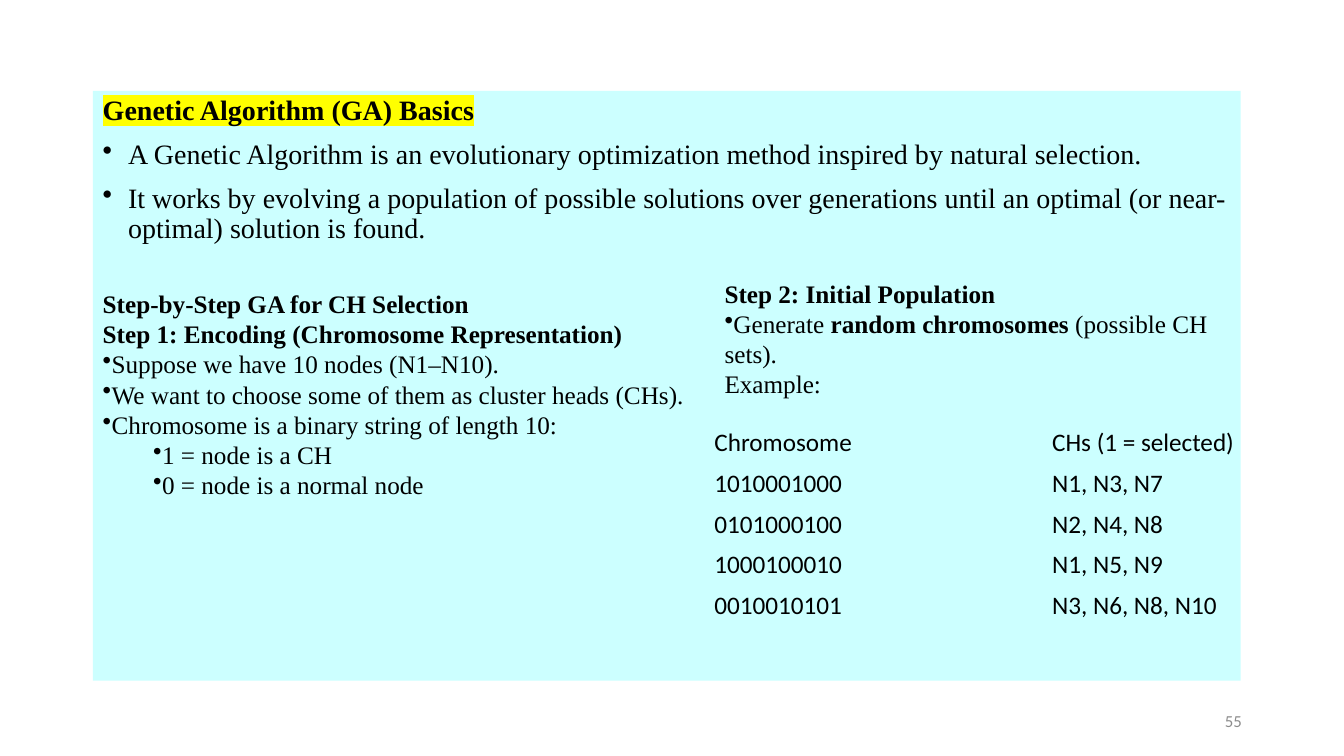
import pptx
import pptx.util
import pptx.dml.color
import pptx.enum.text
import pptx.oxml.ns
from dataclasses import dataclass
from lxml import etree
from pptx.util import Cm, Pt


@dataclass(frozen=True)
class Theme:
    panel: str = "CCFFFF"
    ink: str = "000000"
    muted: str = "8C8C8C"
    marker: str = "FFFF00"
    serif: str = "Times New Roman"
    sans: str = "Calibri"
    lead: int = 20
    text: int = 18
    footer: int = 12


theme = Theme()
qn = pptx.oxml.ns.qn
anchors = pptx.enum.text.MSO_ANCHOR


def add_box(left, top, width, height, anchor=anchors.TOP):
    box = page.shapes.add_textbox(Cm(left), Cm(top), Cm(width), Cm(height))
    box.text_frame.word_wrap = True
    box.text_frame.vertical_anchor = anchor
    return box


def add_span(para, words, size, face=theme.serif, color=theme.ink, bold=False):
    span = para.add_run()
    span.text = words
    span.font.size = Pt(size)
    span.font.name = face
    span.font.bold = bold
    span.font.color.rgb = pptx.dml.color.RGBColor.from_string(color)
    return span


deck = pptx.Presentation()
deck.slide_width, deck.slide_height = Cm(33.87), Cm(19.05)
page = deck.slides.add_slide(deck.slide_layouts[6])

panel = add_box(2.34, 2.29, 28.93, 14.86)
panel.fill.solid()
panel.fill.fore_color.rgb = pptx.dml.color.RGBColor.from_string(theme.panel)

# words, size, bold, bullet, left margin, first-line indent, space before, line spacing
panel_lines = [
    ("Genetic Algorithm (GA) Basics", theme.lead, True, False, 0, 0, 0, 0.9),
    ("A Genetic Algorithm is an evolutionary optimization method inspired by natural selection.",
     theme.lead, False, True, 0.64, -0.64, 10, 0.9),
    ("It works by evolving a population of possible solutions over generations "
     "until an optimal (or near-optimal) solution is found.",
     theme.lead, False, True, 0.64, -0.64, 10, 0.9),
    ("Step-by-Step GA for CH Selection", theme.text, True, False, 0, 0, 31, 1.0),
    ("Step 1: Encoding (Chromosome Representation)", theme.text, True, False, 0, 0, 0, 1.0),
    ("Suppose we have 10 nodes (N1–N10).", theme.text, False, True, 0, 0, 0, 1.0),
    ("We want to choose some of them as cluster heads (CHs).",
     theme.text, False, True, 0, 0, 0, 1.0),
    ("Chromosome is a binary string of length 10:", theme.text, False, True, 0, 0, 0, 1.0),
    ("1 = node is a CH", theme.text, False, True, 1.27, 0, 0, 1.0),
    ("0 = node is a normal node", theme.text, False, True, 1.27, 0, 0, 1.0),
]
for index, (words, size, bold, bullet, margin, indent, before, spacing) in enumerate(panel_lines):
    para = panel.text_frame.add_paragraph() if index else panel.text_frame.paragraphs[0]
    if bullet:
        settings = para._p.get_or_add_pPr()
        settings.set("marL", str(Cm(margin)))
        settings.set("indent", str(Cm(indent)))
        etree.SubElement(settings, qn("a:buChar"), char="•")
    para.space_before = Pt(before)
    para.line_spacing = spacing
    add_span(para, words, size, bold=bold)

title = panel.text_frame.paragraphs[0].runs[0]
highlight = etree.Element(qn("a:highlight"))
etree.SubElement(highlight, qn("a:srgbClr"), val=theme.marker)
title.font._element.find(qn("a:solidFill")).addnext(highlight)

number = add_box(23.93, 17.65, 7.62, 1.02, anchors.MIDDLE)
para = number.text_frame.paragraphs[0]
para.alignment = pptx.enum.text.PP_ALIGN.RIGHT
add_span(para, "55", theme.footer, theme.sans, theme.muted)

population = [
    ("Chromosome", "CHs (1 = selected)"),
    ("1010001000", "N1, N3, N7"),
    ("0101000100", "N2, N4, N8"),
    ("1000100010", "N1, N5, N9"),
    ("0010010101", "N3, N6, N8, N10"),
]
table = page.shapes.add_table(
    len(population), 2, Cm(17.75), Cm(10.64), Cm(17.02), Cm(5.15)).table
table.first_row = False
table.horz_banding = False
table._tbl.tblPr.find(qn("a:tableStyleId")).text = "{2D5ABB26-0587-4C30-8999-92F81FD0307C}"
for row, values in enumerate(population):
    for column, value in enumerate(values):
        cell = table.cell(row, column)
        cell.fill.background()
        cell.vertical_anchor = anchors.MIDDLE
        add_span(cell.text_frame.paragraphs[0], value, theme.text, theme.sans)

step = add_box(18.01, 6.88, 13.54, 4.02)
add_span(step.text_frame.paragraphs[0], "Step 2: Initial Population", theme.text, bold=True)
para = step.text_frame.add_paragraph()
etree.SubElement(para._p.get_or_add_pPr(), qn("a:buChar"), char="•")
add_span(para, "Generate ", theme.text)
add_span(para, "random chromosomes", theme.text, bold=True)
add_span(para, " (possible CH sets).", theme.text)
para.add_line_break()
add_span(para, "Example:", theme.text)

deck.save("out.pptx")
